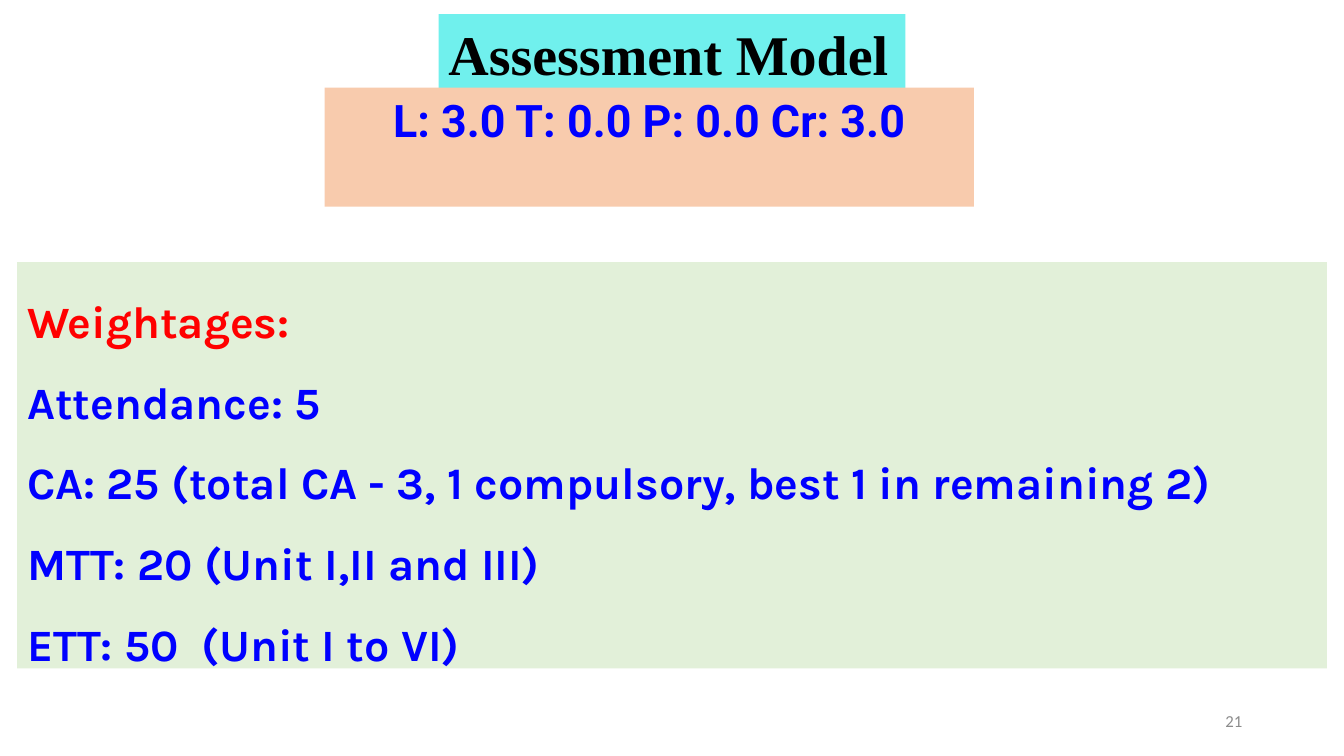
from pptx import Presentation
from pptx import util as u
from pptx.dml.color import RGBColor
from pptx.enum import text


def colour(hex_string):
    return RGBColor.from_string(hex_string)


class SlideBuilder:
    """Holds the style and the current slide; lengths are percent of the slide."""

    RED, BLUE, BLACK, GREY = "FF0000", "0000FF", "000000", "8C8C8C"
    GREEN_FILL, CYAN_FILL, PEACH_FILL = "E2F0D9", "70F0ED", "F8CBAD"

    def __init__(self, presentation):
        self.width = presentation.slide_width
        self.height = presentation.slide_height
        self.slide = presentation.slides.add_slide(presentation.slide_layouts[6])

    def text_panel(self, area, lines, font, size, fill=None, bold=True,
                   align=text.PP_ALIGN.LEFT, anchor=text.MSO_ANCHOR.TOP, spacing=1.0):
        """Add a text box; lines is a list of (wording, colour) pairs."""
        left, top, width, height = area
        shape = self.slide.shapes.add_textbox(
            round(self.width * left / 100), round(self.height * top / 100),
            round(self.width * width / 100), round(self.height * height / 100))
        if fill:
            shape.fill.solid()
            shape.fill.fore_color.rgb = colour(fill)
        frame = shape.text_frame
        frame.word_wrap = True
        frame.vertical_anchor = anchor
        for index, (wording, ink) in enumerate(lines):
            paragraph = frame.add_paragraph() if index else frame.paragraphs[0]
            paragraph.text = wording
            paragraph.alignment = align
            paragraph.line_spacing = spacing
            paragraph.font.name = font
            paragraph.font.size = u.Pt(size)
            paragraph.font.bold = bold
            paragraph.font.color.rgb = colour(ink)


def main():
    presentation = Presentation()
    presentation.slide_width = u.Inches(13.33)
    presentation.slide_height = u.Inches(7.5)
    builder = SlideBuilder(presentation)

    # Weightages
    weightages = [
        "Attendance: 5",
        "CA: 25 (total CA - 3, 1 compulsory, best 1 in remaining 2)",
        "MTT: 20 (Unit I,II and III)",
        "ETT: 50  (Unit I to VI)",
    ]
    builder.text_panel(
        (1.28, 34.67, 97.45, 53.73),
        [("Weightages:", builder.RED)] + [(line, builder.BLUE) for line in weightages],
        "Karla", 32, builder.GREEN_FILL, spacing=1.5)

    # Title
    builder.text_panel((32.63, 1.87, 34.73, 10.27), [("Assessment Model", builder.BLACK)],
                       "Times New Roman", 40, builder.CYAN_FILL)

    # Slide number
    builder.text_panel((70.67, 92.67, 22.5, 5.33), [("21", builder.GREY)],
                       "Calibri", 12, bold=False, align=text.PP_ALIGN.RIGHT,
                       anchor=text.MSO_ANCHOR.MIDDLE)

    # Credit hours
    builder.text_panel((24.16, 11.6, 48.31, 15.73),
                       [("L: 3.0 T: 0.0 P: 0.0 Cr: 3.0", builder.BLUE)],
                       "Roboto", 32, builder.PEACH_FILL, align=text.PP_ALIGN.CENTER)

    presentation.save("out.pptx")


if __name__ == "__main__":
    main()
